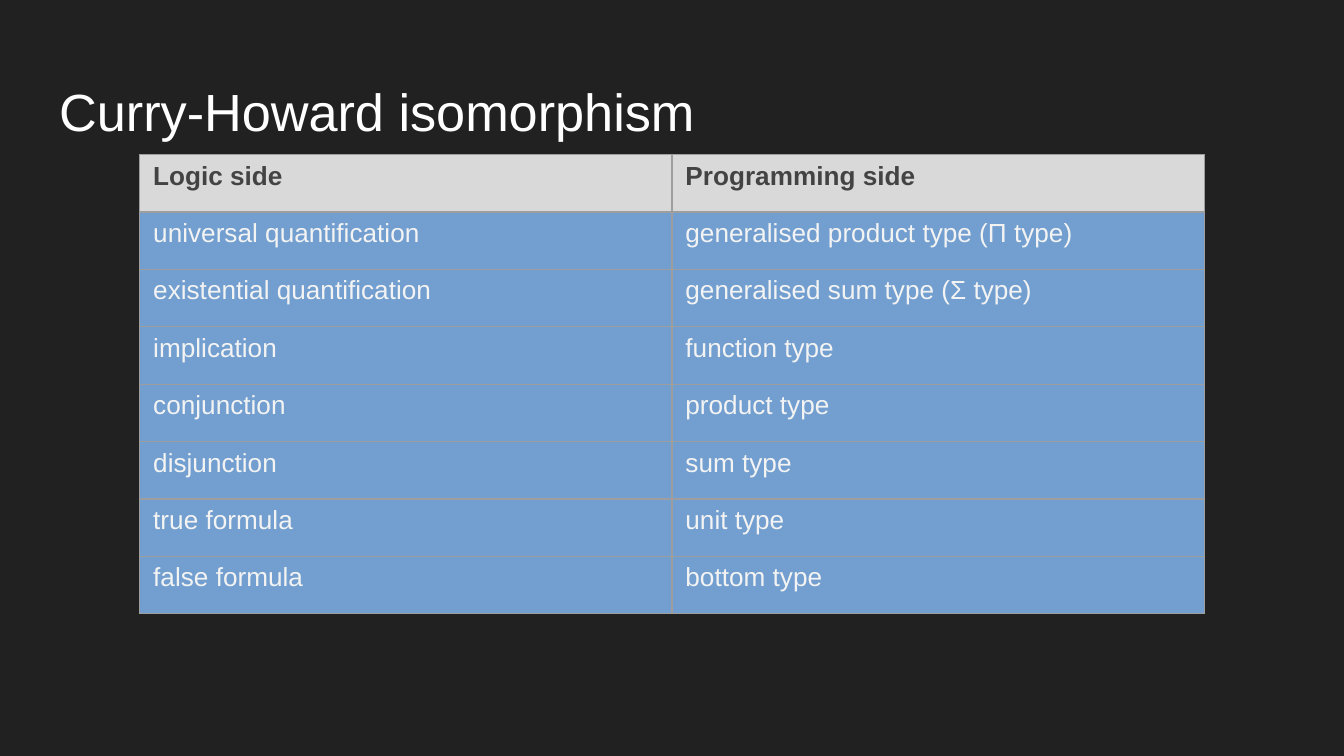
import pptx
import pptx.dml.color
import pptx.enum.text
import pptx.util
from lxml import etree
from pptx.oxml.ns import qn

Inches, Pt = pptx.util.Inches, pptx.util.Pt
RGB = pptx.dml.color.RGBColor

TITLE = "Curry-Howard isomorphism"
ROWS = [
    ("Logic side", "Programming side"),
    ("universal quantification", "generalised product type (Π type)"),
    ("existential quantification", "generalised sum type (Σ type)"),
    ("implication", "function type"),
    ("conjunction", "product type"),
    ("disjunction", "sum type"),
    ("true formula", "unit type"),
    ("false formula", "bottom type"),
]

FONT = "Arial"
DARK = RGB(0x21, 0x21, 0x21)
WHITE = RGB(0xFF, 0xFF, 0xFF)
GREY = RGB(0xD9, 0xD9, 0xD9)
BLUE = RGB(0x72, 0x9F, 0xCF)
HEAD_INK = RGB(0x43, 0x43, 0x43)
BODY_INK = RGB(0xF3, 0xF3, 0xF3)
EDGE = RGB(0x9E, 0x9E, 0x9E)

LEFT, TOP = 1.04, 1.15
WIDTH, HEIGHT = 7.92, 3.42


def write(frame, text, size, ink, bold=False):
    par = frame.paragraphs[0]
    par.alignment = pptx.enum.text.PP_ALIGN.LEFT
    run = par.add_run()
    run.text = text
    run.font.name = FONT
    run.font.size = Pt(size)
    run.font.bold = bold
    run.font.color.rgb = ink


def add_edges(cell):
    """Draw a thin line on all four sides, placed before the cell's fill."""
    props = cell._tc.get_or_add_tcPr()
    for spot, side in enumerate(("lnL", "lnR", "lnT", "lnB")):
        line = etree.Element(qn("a:" + side), w=str(Pt(0.75)))
        fill = etree.SubElement(line, qn("a:solidFill"))
        etree.SubElement(fill, qn("a:srgbClr"), val=str(EDGE))
        props.insert(spot, line)


def add_title(slide):
    title = slide.shapes.title
    title.left, title.top = Inches(0.34), Inches(0.49)
    title.width, title.height = Inches(9.32), Inches(0.63)
    frame = title.text_frame
    frame.word_wrap = True
    frame.auto_size = pptx.enum.text.MSO_AUTO_SIZE.NONE
    frame.vertical_anchor = pptx.enum.text.MSO_ANCHOR.TOP
    frame.margin_left = frame.margin_right = Inches(0.1)
    frame.margin_top = frame.margin_bottom = Inches(0.1)
    write(frame, TITLE, 28, WHITE)


def add_grid(slide):
    grid = slide.shapes.add_table(
        len(ROWS), len(ROWS[0]),
        Inches(LEFT), Inches(TOP), Inches(WIDTH), Inches(HEIGHT),
    ).table
    grid.first_row = grid.horz_banding = False
    for r, row in enumerate(ROWS):
        head = r == 0
        for c, text in enumerate(row):
            cell = grid.cell(r, c)
            cell.fill.solid()
            cell.fill.fore_color.rgb = GREY if head else BLUE
            cell.margin_left = cell.margin_right = Inches(0.1)
            cell.margin_top = cell.margin_bottom = Inches(0.05)
            write(cell.text_frame, text, 14, HEAD_INK if head else BODY_INK, head)
            add_edges(cell)


def main():
    deck = pptx.Presentation()
    deck.slide_width = Inches(10)
    deck.slide_height = deck.slide_width * 9 // 16
    slide = deck.slides.add_slide(deck.slide_layouts[5])
    slide.background.fill.solid()
    slide.background.fill.fore_color.rgb = DARK
    add_title(slide)
    add_grid(slide)
    deck.save("out.pptx")


if __name__ == "__main__":
    main()
